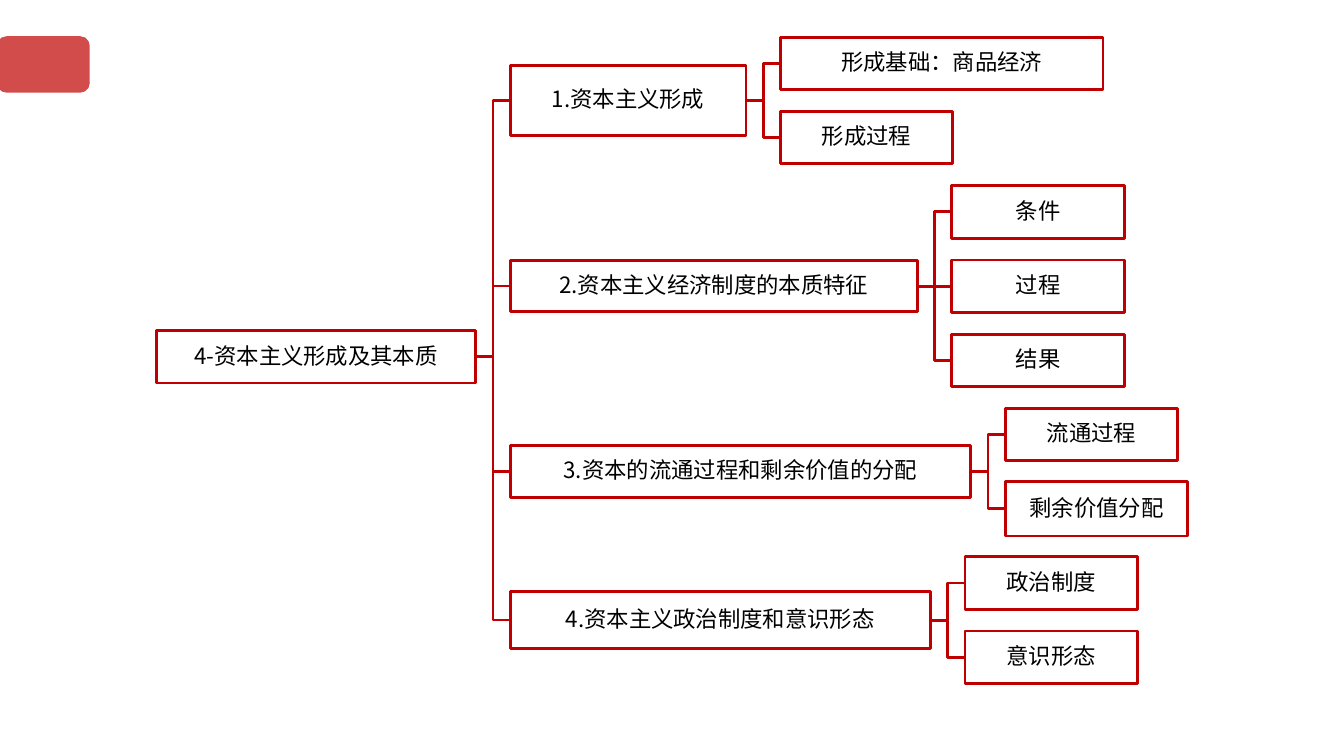
from lxml.etree import SubElement
from pptx import Presentation
from pptx.dml.color import RGBColor
from pptx.enum.shapes import MSO_CONNECTOR as CONN, MSO_SHAPE as SHAPE
from pptx.enum.text import MSO_ANCHOR as ANCHOR, PP_ALIGN as ALIGN
from pptx.oxml.ns import qn
from pptx.util import Inches, Pt

RED = RGBColor(0xC0, 0x00, 0x00)
WHITE = RGBColor(0xFF, 0xFF, 0xFF)
BLACK = RGBColor(0x00, 0x00, 0x00)
FONT = "Noto Sans CJK SC"
GAP = 0.34
LEAF_W, LEAF_H = 1.71, 0.52
FIRST_LEAF_Y, LAST_LEAF_Y = 0.63, 6.52
RIGHT_SIDE, LEFT_SIDE = 3, 1

ROOT = ("4-资本主义形成及其本质", 3.17, 0.52)
BRANCHES = [
    ("1.资本主义形成", 2.34, 0.7,
     [("形成基础：商品经济", 3.2, LEAF_H), ("形成过程", LEAF_W, LEAF_H)]),
    ("2.资本主义经济制度的本质特征", 4.04, 0.5,
     [("条件", LEAF_W, LEAF_H), ("过程", LEAF_W, LEAF_H), ("结果", LEAF_W, LEAF_H)]),
    ("3.资本的流通过程和剩余价值的分配", 4.57, 0.52,
     [("流通过程", LEAF_W, LEAF_H), ("剩余价值分配", 1.81, 0.54)]),
    ("4.资本主义政治制度和意识形态", 4.17, 0.57,
     [("政治制度", LEAF_W, LEAF_H), ("意识形态", LEAF_W, LEAF_H)]),
]


def add_tab(slide, x, y, w, h):
    """Draw the translucent red tab at the slide edge."""
    sp = slide.shapes.add_shape(SHAPE.ROUNDED_RECTANGLE,
                                Inches(x), Inches(y), Inches(w), Inches(h))
    sp.shadow.inherit = False
    sp.fill.solid()
    sp.fill.fore_color.rgb = RED
    sp.line.fill.background()
    color = sp.fill._xPr.find(qn("a:solidFill"))[0]
    SubElement(color, qn("a:alpha"), val="70000")


def add_node(slide, text, x, center_y, w, h):
    """Draw one outlined box, vertically centred on center_y."""
    sp = slide.shapes.add_shape(SHAPE.RECTANGLE, Inches(x), Inches(center_y - h / 2),
                                Inches(w), Inches(h))
    sp.shadow.inherit = False
    sp.fill.solid()
    sp.fill.fore_color.rgb = WHITE
    sp.line.color.rgb = RED
    sp.line.width = Pt(2)
    tf = sp.text_frame
    tf.word_wrap = True
    tf.vertical_anchor = ANCHOR.MIDDLE
    tf.margin_left = tf.margin_right = tf.margin_top = tf.margin_bottom = Inches(0.01)
    p = tf.paragraphs[0]
    p.alignment = ALIGN.CENTER
    p.line_spacing = 0.9
    r = p.add_run()
    r.text = text
    p.font.size = r.font.size = Pt(16)
    p.font.name = r.font.name = FONT
    r.font.color.rgb = BLACK
    SubElement(r.font._element, qn("a:ea"), typeface=FONT)
    return sp


def link(slide, parent, child, kind=CONN.ELBOW):
    """Join the right side of parent to the left side of child."""
    line = slide.shapes.add_connector(kind, 0, 0, 0, 0)
    line.begin_connect(parent, RIGHT_SIDE)
    line.end_connect(child, LEFT_SIDE)
    line.line.color.rgb = RED
    line.line.width = Pt(2)
    SubElement(line._element.spPr, qn("a:effectLst"))


def add_tree(slide, x, root_y):
    """Draw the tree rightwards from x, each branch centred on its leaves."""
    text, w, h = ROOT
    root = add_node(slide, text, x, root_y, w, h)
    branch_x = x + w + GAP
    leaf_count = sum(len(leaves) for *_, leaves in BRANCHES)
    pitch = (LAST_LEAF_Y - FIRST_LEAF_Y) / (leaf_count - 1)
    leaf_y = FIRST_LEAF_Y
    for text, w, h, leaves in BRANCHES:
        branch_y = leaf_y + pitch * (len(leaves) - 1) / 2
        branch = add_node(slide, text, branch_x, branch_y, w, h)
        link(slide, root, branch)
        for leaf_text, leaf_w, leaf_h in leaves:
            leaf = add_node(slide, leaf_text, branch_x + w + GAP, leaf_y, leaf_w, leaf_h)
            level = abs(leaf_y - branch_y) < 0.01
            link(slide, branch, leaf, CONN.STRAIGHT if level else CONN.ELBOW)
            leaf_y += pitch


def main():
    """Build the slide and save it."""
    prs = Presentation()
    prs.slide_width, prs.slide_height = Inches(13.33), Inches(7.5)
    s = prs.slides.add_slide(prs.slide_layouts[6])
    add_tab(s, -0.03, 0.36, 0.92, 0.56)
    add_tree(s, 1.55, 3.54)
    prs.save("out.pptx")


if __name__ == "__main__":
    main()
